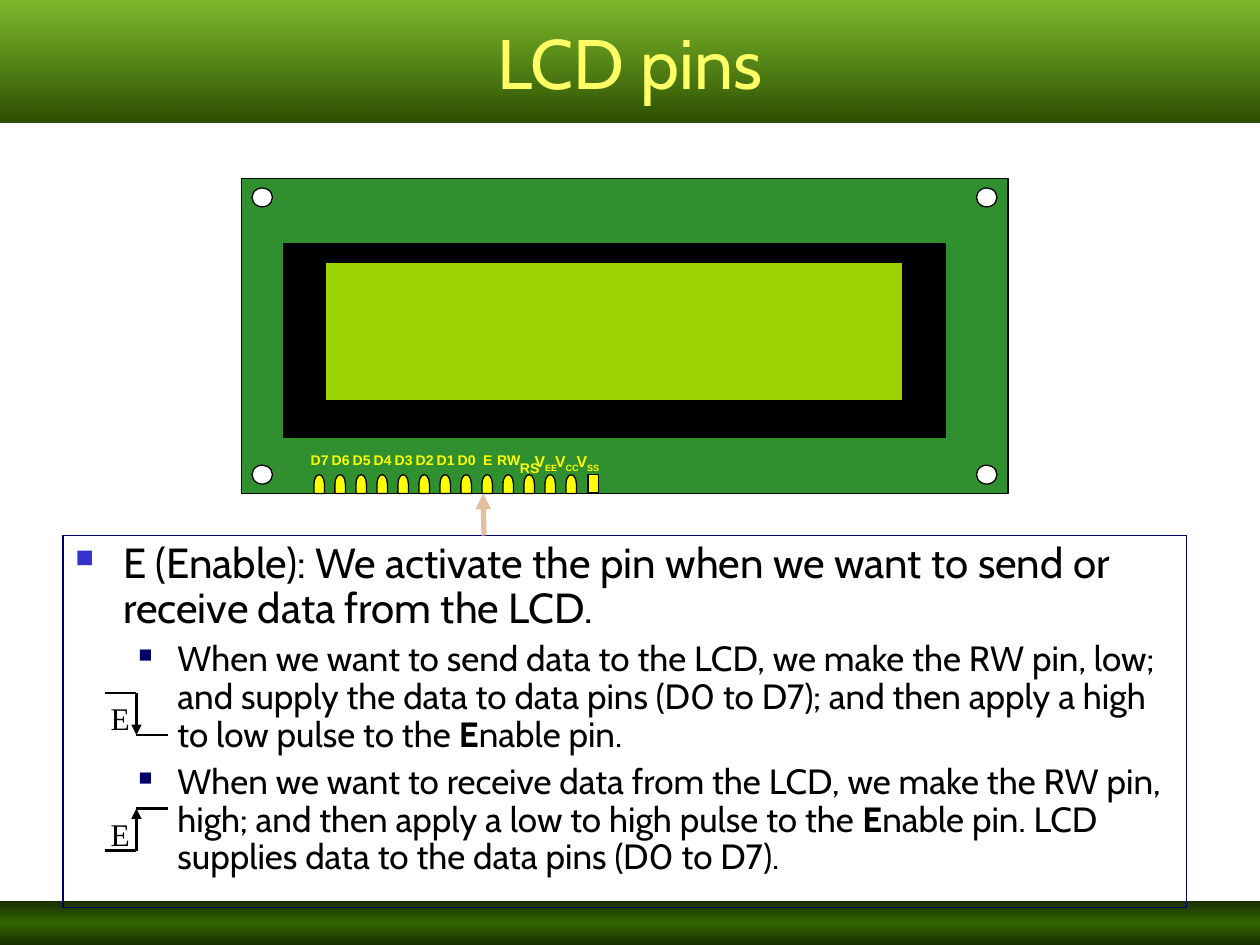
from lxml.etree import SubElement
from pptx import Presentation
from pptx.dml.color import RGBColor
from pptx.enum.shapes import MSO_CONNECTOR as Connector, MSO_SHAPE as Shape
from pptx.enum.text import MSO_ANCHOR as Anchor, PP_ALIGN as Align
from pptx.oxml.ns import qn
from pptx.util import Inches, Pt

COLUMNS, ROWS = 120, 90  # twelve grid cells to the inch
BLACK = RGBColor(0x00, 0x00, 0x00)
WHITE = RGBColor(0xFF, 0xFF, 0xFF)
NAVY = RGBColor(0x00, 0x00, 0x66)
BLUE = RGBColor(0x33, 0x33, 0xCC)
TITLE_YELLOW = RGBColor(0xFF, 0xFF, 0x66)
YELLOW = RGBColor(0xFF, 0xFF, 0x00)
TAN = RGBColor(0xE0, 0xC0, 0xA0)
BOARD_GREEN = RGBColor(0x30, 0x90, 0x30)
SCREEN_GREEN = RGBColor(0x9B, 0xD2, 0x00)
LEAF = RGBColor(0x62, 0xA9, 0x03)
MOSS = RGBColor(0x2D, 0x4E, 0x01)
FOREST = RGBColor(0x33, 0x66, 0x00)
DARK_FOREST = RGBColor(0x18, 0x2F, 0x00)

PIN_NAMES = ["D7", "D6", "D5", "D4", "D3", "D2", "D1", "D0", "E", "RW", "RS"]
SUPPLY_NAMES = ["EE", "CC", "SS"]
BODY = [
    (0, [("E (Enable): We activate the pin when we want to send or receive "
          "data from the LCD.", False)]),
    (1, [("When we want to send data to the LCD, we make the RW pin, low; and "
          "supply the data to data pins (D0 to D7); and then apply a high to "
          "low pulse to the ", False), ("E", True), ("nable pin.", False)]),
    (1, [("When we want to receive data from the LCD, we make the RW pin, "
          "high; and then apply a low to high pulse to the ", False),
         ("E", True),
         ("nable pin. LCD supplies data to the data pins (D0 to D7).", False)]),
]
LEVELS = [
    dict(size=24, before=6.1, indent=0.38, hanging=0.38, bullet=BLUE, scale=60),
    dict(size=20, before=5.1, indent=0.81, hanging=0.31, bullet=NAVY, scale=55),
]


def cells(*counts):
    return [Inches(count / 12) for count in counts]


def add_box(shapes, kind, box, fill=None, line=None):
    shape = shapes.add_shape(kind, *cells(*box))
    shape.shadow.inherit = False
    if fill is None:
        shape.fill.background()
    else:
        shape.fill.solid()
        shape.fill.fore_color.rgb = fill
    if line is None:
        shape.line.fill.background()
    else:
        shape.line.color.rgb = line
        shape.line.width = Pt(0.75)
    return shape


def add_line(shapes, start, end, color, width, arrow=None):
    line = shapes.add_connector(Connector.STRAIGHT, *cells(*start, *end))
    line.line.color.rgb = color
    line.line.width = Pt(width)
    if arrow:
        SubElement(line.line._get_or_add_ln(), qn("a:" + arrow), type="triangle")
    SubElement(line._element.spPr, qn("a:effectLst"))


def add_run(paragraph, text, color, **formats):
    run = paragraph.add_run()
    run.text = text
    run.font.color.rgb = color
    for name, value in formats.items():
        setattr(run.font, name, value)
    return run


def add_label(shapes, box, text, color, **formats):
    label = shapes.add_textbox(*cells(*box))
    label.text_frame.word_wrap = False
    paragraph = label.text_frame.paragraphs[0]
    paragraph.alignment = Align.CENTER
    add_run(paragraph, text, color, **formats)
    return paragraph


def add_gradient_bar(slide, box, stops):
    """Fill a bar from top to bottom with (percent, color, opacity) stops."""
    bar = add_box(slide.shapes, Shape.RECTANGLE, box)
    bar.fill.gradient()
    bar.fill.gradient_angle = 270
    stop_list = bar._element.spPr.find(".//" + qn("a:gsLst"))
    for stop in list(stop_list):
        stop_list.remove(stop)
    for percent, color, opacity in stops:
        stop = SubElement(stop_list, qn("a:gs"), pos=str(percent * 1000))
        rgb = SubElement(stop, qn("a:srgbClr"), val=str(color))
        if opacity < 100:
            SubElement(rgb, qn("a:alpha"), val=str(opacity * 1000))
    return bar


def add_title(slide, box):
    bar = add_gradient_bar(slide, box, [(0, LEAF, 83), (100, MOSS, 100)])
    bar.text_frame.vertical_anchor = Anchor.MIDDLE
    paragraph = bar.text_frame.paragraphs[0]
    paragraph.alignment = Align.CENTER
    add_run(paragraph, "LCD pins", TITLE_YELLOW, name="Cabin", size=Pt(40))


def add_bullet(paragraph, level):
    properties = paragraph._p.get_or_add_pPr()
    properties.set("marL", str(Inches(level["indent"])))
    properties.set("indent", str(-Inches(level["hanging"])))
    color = SubElement(properties, qn("a:buClr"))
    SubElement(color, qn("a:srgbClr"), val=str(level["bullet"]))
    SubElement(properties, qn("a:buSzPct"), val=str(level["scale"] * 1000))
    SubElement(properties, qn("a:buChar"), char="■")


def add_body(slide, box):
    panel = add_box(slide.shapes, Shape.RECTANGLE, box, line=NAVY)
    frame = panel.text_frame
    frame.word_wrap = True
    frame.vertical_anchor = Anchor.TOP
    for index, (depth, runs) in enumerate(BODY):
        paragraph = frame.add_paragraph() if index else frame.paragraphs[0]
        level = LEVELS[depth]
        formats = dict(level=depth, alignment=Align.LEFT, line_spacing=0.9,
                       space_before=Pt(level["before"]), space_after=Pt(0.1))
        for name, value in formats.items():
            setattr(paragraph, name, value)
        add_bullet(paragraph, level)
        for text, bold in runs:
            add_run(paragraph, text, BLACK, name="Cabin",
                    size=Pt(level["size"]), bold=bold)


def add_pulse(slide, box, rising):
    left, top, width, height = box
    middle, right, bottom = left + width / 2, left + width, top + height
    first, last = (bottom, top) if rising else (top, bottom)
    shapes = slide.shapes.add_group_shape().shapes
    add_line(shapes, (left, first), (middle, first), BLACK, 1.5)
    add_line(shapes, (middle, top), (middle, bottom), BLACK, 1.5,
             "headEnd" if rising else "tailEnd")
    add_line(shapes, (middle, last), (right, last), BLACK, 1.5)
    add_label(shapes, (left - 1, top, 4.9, 4.8), "E", BLACK,
              name="Times New Roman", size=Pt(18))


def add_lcd(slide, box):
    left, top, width, height = box
    shapes = slide.shapes.add_group_shape().shapes

    # Board, bezel and screen
    add_box(shapes, Shape.RECTANGLE, box, BOARD_GREEN, BLACK)
    add_box(shapes, Shape.RECTANGLE, (left + 4, top + 6.2, 63, 18.5), BLACK, BLACK)
    add_box(shapes, Shape.RECTANGLE, (left + 8, top + 8, 55, 13.2),
            SCREEN_GREEN, BLACK)

    # Mounting holes
    for x in (left + 1, left + width - 3):
        for y in (top + 0.9, top + height - 2.7):
            add_box(shapes, Shape.OVAL, (x, y, 1.95, 1.8), WHITE, BLACK)

    # Pin labels, then the supply pins with subscripts
    label_top = top + 25.4
    style = dict(name="Arial", bold=True)
    for index, name in enumerate(PIN_NAMES):
        drop = 0.8 if name == "RS" else 0
        add_label(shapes, (left + 5 + 2 * index, label_top + drop, 4.9, 2.9),
                  name, YELLOW, size=Pt(8), **style)
    for index, name in enumerate(SUPPLY_NAMES):
        paragraph = add_label(shapes, (left + 26 + 2 * index, label_top, 6, 3.2),
                              "V", YELLOW, size=Pt(9), **style)
        subscript = add_run(paragraph, name, YELLOW, size=Pt(9), **style)
        subscript.font._element.set("baseline", "-25000")

    # Rounded pins, and a square one at the end
    for index in range(len(PIN_NAMES) + len(SUPPLY_NAMES) - 1):
        pin = add_box(shapes, Shape.FLOWCHART_DELAY,
                      (left + 6.5 + 2 * index, top + 28.6, 1.8, 1), YELLOW, BLACK)
        pin.rotation = 270
    add_box(shapes, Shape.RECTANGLE, (left + 33, top + 28.2, 1, 1.7), YELLOW, BLACK)


def main():
    presentation = Presentation()
    presentation.slide_width, presentation.slide_height = cells(COLUMNS, ROWS)
    slide = presentation.slides.add_slide(presentation.slide_layouts[6])
    add_gradient_bar(slide, (0, ROWS - 4.2, COLUMNS, 4.2),
                     [(0, DARK_FOREST, 100), (50, FOREST, 100),
                      (100, DARK_FOREST, 100)])
    add_title(slide, (0, 0, COLUMNS, 11.65))
    add_body(slide, (6, 51, 107, 35.4))
    add_line(slide.shapes, (46, 47), (46.1, 51), TAN, 3, "headEnd")
    add_pulse(slide, (10, 66, 6, 4), rising=False)
    add_pulse(slide, (10, 77, 6, 4), rising=True)
    add_lcd(slide, (23, 17, 73, 30))
    presentation.save("out.pptx")


if __name__ == "__main__":
    main()
